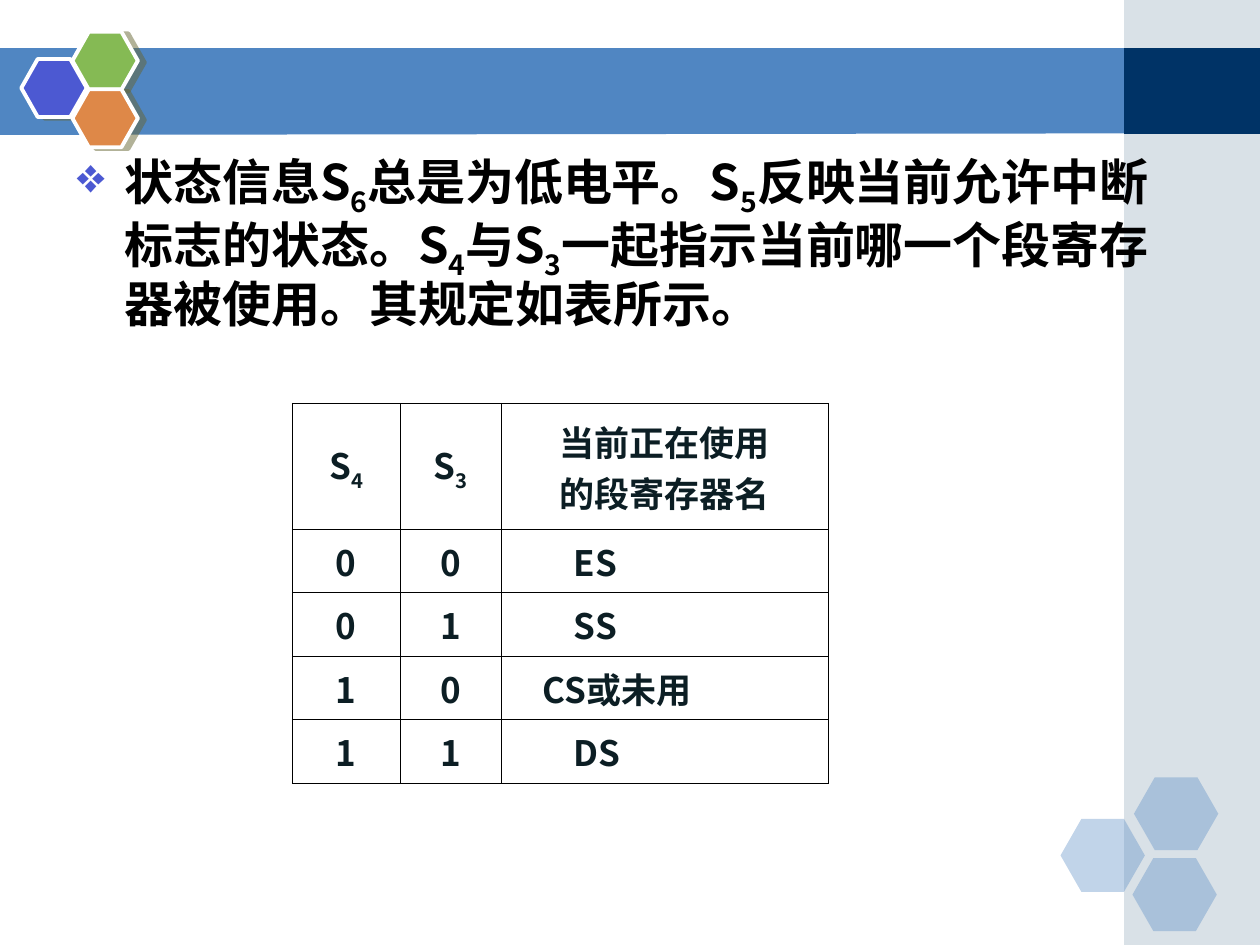
from dataclasses import dataclass
from typing import Optional

from pptx import Presentation
from pptx.dml.color import RGBColor
from pptx.enum.shapes import MSO_SHAPE
from pptx.enum.text import MSO_ANCHOR, PP_ALIGN
from pptx.oxml import parse_xml
from pptx.oxml.ns import nsdecls, qn
from pptx.util import Cm, Pt

RECTANGLE, HEXAGON = MSO_SHAPE.RECTANGLE, MSO_SHAPE.HEXAGON
CENTER, JUSTIFY = PP_ALIGN.CENTER, PP_ALIGN.JUSTIFY
MIDDLE = MSO_ANCHOR.MIDDLE
FONT = "Noto Sans CJK SC"
COLORS = {
    "band": "5086C2", "side": "A0B5C4", "corner": "003366",
    "blue": "4C59D2", "green": "85BA54", "orange": "DE8848",
    "white": "FFFFFF", "shadow": "666633", "body": "000000",
    "cell": "0C1E24", "border": "000000",
}
SUBSCRIPT_MARK = "|"


@dataclass
class Block:
    kind: int
    left: float
    top: float
    width: float
    height: float
    color: str
    opacity: int = 100
    adjustment: Optional[float] = None
    raised: bool = False


def pale_hexagon(left: float, top: float) -> Block:
    return Block(HEXAGON, left, top, 1.7, 1.47, "band", 35, 0.286)


def emblem_hexagon(left: float, top: float, color: str) -> Block:
    return Block(HEXAGON, left, top, 1.32, 1.17, color, 100, 0.283, True)


BLOCKS = [
    Block(RECTANGLE, 22.66, 0, 2.74, 19.05, "side", 40),
    Block(RECTANGLE, 22.66, 0.97, 2.74, 1.73, "corner"),
    pale_hexagon(21.38, 16.51),
    pale_hexagon(22.86, 15.67),
    pale_hexagon(22.83, 17.3),
    emblem_hexagon(0.43, 1.19, "blue"),
    emblem_hexagon(1.46, 0.64, "green"),
    emblem_hexagon(1.46, 1.8, "orange"),
]
BODY = ("状态信息S|6|总是为低电平。S|5|反映当前允许中断标志的状态。"
        "S|4|与S|3|一起指示当前哪一个段寄存器被使用。其规定如表所示。")
COLUMN_WIDTHS = [2.18, 2.03, 6.59]
HEADER_HEIGHT, ROW_HEIGHT = 2.54, 1.28
ROWS = [
    ["S|4|", "S|3|", "当前正在使用\n的段寄存器名"],
    ["0", "0", "ES"],
    ["0", "1", "SS"],
    ["1", "0", "CS或未用"],
    ["1", "1", "DS"],
]
REGISTER_INDENTS = {"ES": 1.27, "SS": 1.27, "CS或未用": 0.64, "DS": 1.27}


def rgb(name: str) -> RGBColor:
    return RGBColor.from_string(COLORS[name])


def add_shadow(shape) -> None:
    effects = shape.element.spPr.find(qn("a:effectLst"))
    effects.append(parse_xml(
        f'<a:outerShdw {nsdecls("a")} blurRad="0" dist="{Pt(4.1)}" dir="840000" '
        f'algn="ctr" rotWithShape="0"><a:srgbClr val="{COLORS["shadow"]}">'
        '<a:alpha val="50000"/></a:srgbClr></a:outerShdw>'))


def paint(shape, color: str, opacity: int = 100) -> None:
    shape.shadow.inherit = False
    shape.line.fill.background()
    shape.fill.solid()
    shape.fill.fore_color.rgb = rgb(color)
    if opacity < 100:
        fill_color = shape.element.spPr.find(f'{qn("a:solidFill")}/{qn("a:srgbClr")}')
        fill_color.append(parse_xml(f'<a:alpha {nsdecls("a")} val="{opacity * 1000}"/>'))


def draw_band(slide) -> None:
    builder = slide.shapes.build_freeform(Cm(-0.02), Cm(0.97))
    corners = [(22.73, 0.97), (22.73, 2.69), (-0.02, 2.72)]
    builder.add_line_segments([(Cm(x), Cm(y)) for x, y in corners], close=True)
    paint(builder.convert_to_shape(), "band")


def draw_block(slide, block: Block) -> None:
    shape = slide.shapes.add_shape(
        block.kind, Cm(block.left), Cm(block.top), Cm(block.width), Cm(block.height))
    paint(shape, block.color, block.opacity)
    if block.adjustment is not None:
        shape.adjustments[0] = block.adjustment
    if block.raised:
        shape.line.color.rgb = rgb("white")
        shape.line.width = Pt(2.25)
        add_shadow(shape)


def write_runs(paragraph, text: str, size: int, color: str) -> None:
    font_values = {"name": FONT, "size": Pt(size), "bold": True}
    for index, piece in enumerate(text.split(SUBSCRIPT_MARK)):
        if not piece:
            continue
        run = paragraph.add_run()
        run.text = piece
        for attribute, value in font_values.items():
            setattr(run.font, attribute, value)
        run.font.color.rgb = rgb(color)
        properties = run._r.get_or_add_rPr()
        properties.append(parse_xml(f'<a:ea {nsdecls("a")} typeface="{FONT}"/>'))
        if index % 2:
            properties.set("baseline", "-25000")


def draw_body(slide) -> None:
    frame = slide.shapes.add_textbox(Cm(1.3), Cm(2.92), Cm(22.86), Cm(14.63)).text_frame
    frame.word_wrap = True
    paragraph = frame.paragraphs[0]
    properties = paragraph._p.get_or_add_pPr()
    properties.set("marL", str(Cm(0.96)))
    properties.set("indent", str(-Cm(0.96)))
    properties.append(parse_xml(
        f'<a:buClr {nsdecls("a")}><a:srgbClr val="{COLORS["blue"]}"/></a:buClr>'))
    properties.append(parse_xml(f'<a:buChar {nsdecls("a")} char="❖"/>'))
    paragraph.line_spacing = 0.95
    write_runs(paragraph, BODY, 28, "body")


def format_cell(cell) -> None:
    properties = cell._tc.get_or_add_tcPr()
    for side in ("lnL", "lnR", "lnT", "lnB"):
        properties.append(parse_xml(
            f'<a:{side} {nsdecls("a")} w="{Pt(0.45)}"><a:solidFill>'
            f'<a:srgbClr val="{COLORS["border"]}"/></a:solidFill></a:{side}>'))
    cell.fill.background()
    values = {"vertical_anchor": MIDDLE, "margin_left": Cm(0.2), "margin_right": Cm(0.2),
              "margin_top": Cm(0.13), "margin_bottom": Cm(0.13)}
    for attribute, value in values.items():
        setattr(cell, attribute, value)


def write_cell(cell, text: str) -> None:
    frame = cell.text_frame
    for index, line in enumerate(text.split("\n")):
        paragraph = frame.add_paragraph() if index else frame.paragraphs[0]
        indent = REGISTER_INDENTS.get(line)
        paragraph.alignment = JUSTIFY if indent else CENTER
        if indent:
            paragraph._p.get_or_add_pPr().set("marL", str(Cm(indent)))
        write_runs(paragraph, line, 20, "cell")


def draw_register_table(slide) -> None:
    heights = [HEADER_HEIGHT] + [ROW_HEIGHT] * (len(ROWS) - 1)
    table = slide.shapes.add_table(
        len(ROWS), len(COLUMN_WIDTHS), Cm(5.89), Cm(8.13),
        Cm(sum(COLUMN_WIDTHS)), Cm(sum(heights))).table
    table.first_row = table.horz_banding = False
    for column, width in zip(table.columns, COLUMN_WIDTHS):
        column.width = Cm(width)
    for row, height, texts in zip(table.rows, heights, ROWS):
        row.height = Cm(height)
        for cell, text in zip(row.cells, texts):
            format_cell(cell)
            write_cell(cell, text)


def main() -> None:
    presentation = Presentation()
    presentation.slide_width, presentation.slide_height = Cm(25.4), Cm(19.05)
    slide = presentation.slides.add_slide(presentation.slide_layouts[6])
    draw_band(slide)
    for block in BLOCKS:
        draw_block(slide, block)
    draw_body(slide)
    draw_register_table(slide)
    presentation.save("out.pptx")


if __name__ == "__main__":
    main()
